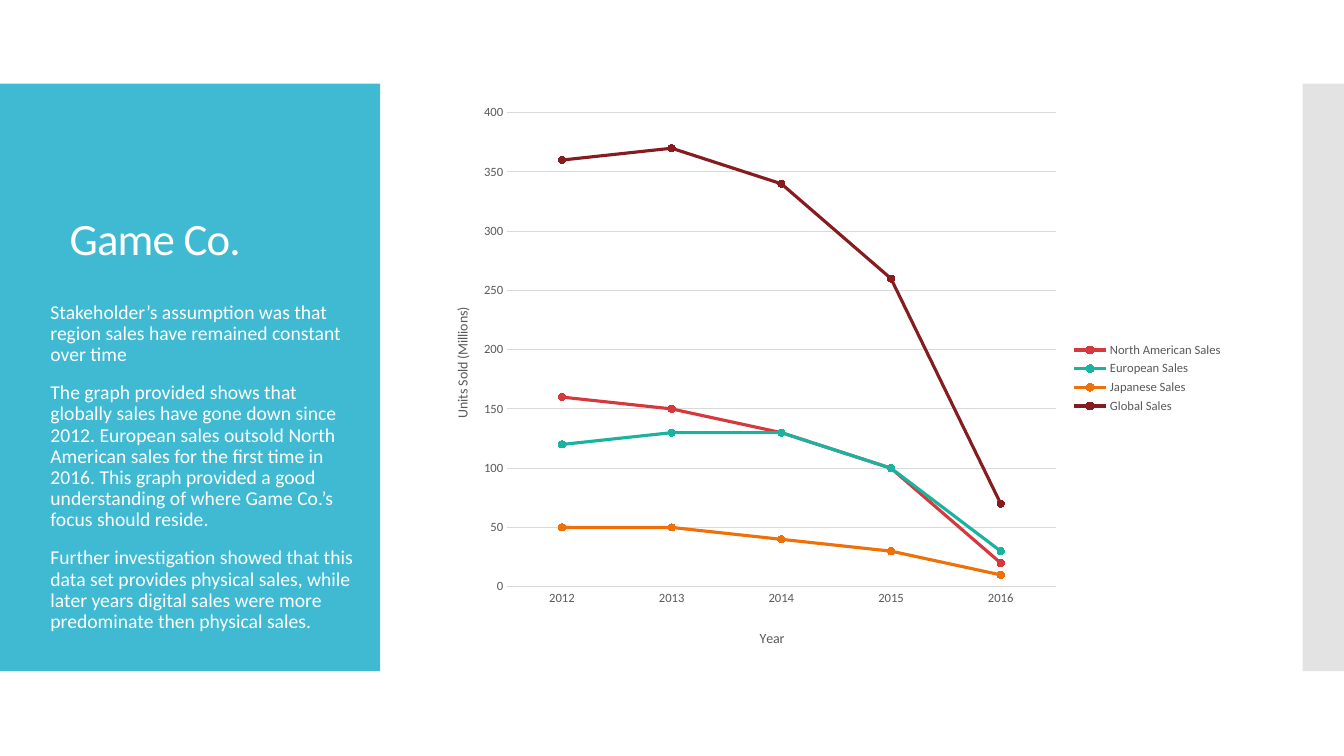
from lxml import etree
from pptx import Presentation
from pptx import util as u
from pptx.chart.data import CategoryChartData
from pptx.dml.color import RGBColor
from pptx.enum import chart as charts, shapes, text
from pptx.oxml import ns

COLORS = {
    "panel": "40BAD2", "strip": "C8C8C8", "white": "FFFFFF",
    "label": "595959", "grid": "D9D9D9",
}
SERIES = [
    ("North American Sales", (160, 150, 130, 100, 20), "D5393D"),
    ("European Sales", (120, 130, 130, 100, 30), "1AB39F"),
    ("Japanese Sales", (50, 50, 40, 30, 10), "EE7008"),
    ("Global Sales", (360, 370, 340, 260, 70), "861C1F"),
]
FINDINGS = [
    "Stakeholder’s assumption was that region sales have remained constant over time",
    "The graph provided shows that globally sales have gone down since 2012. "
    "European sales outsold North American sales for the first time in 2016. "
    "This graph provided a good understanding of where Game Co.’s focus should reside.",
    "Further investigation showed that this data set provides physical sales, "
    "while later years digital sales were more predominate then physical sales.",
]


def color(name):
    return RGBColor.from_string(COLORS.get(name, name))


def add_xml(parent, tag, **attributes):
    return etree.SubElement(parent, ns.qn(tag), attributes)


def set_layout(element, index, inner=False, **fractions):
    """Fix a chart part's place as fractions of the chart's size."""
    for old in element.findall(ns.qn("c:layout")):
        element.remove(old)
    layout = etree.Element(ns.qn("c:layout"))
    manual = add_xml(layout, "c:manualLayout")
    if inner:
        add_xml(manual, "c:layoutTarget", val="inner")
    for mode in ("xMode", "yMode"):
        add_xml(manual, "c:" + mode, val="edge")
    for key, value in fractions.items():
        add_xml(manual, "c:" + key, val=str(value))
    element.insert(index, layout)


class SlideBuilder:
    font = "Calibri"

    def __init__(self, slide):
        self.slide = slide

    def style(self, font, size, name):
        font.name, font.size, font.bold = self.font, u.Pt(size), False
        font.color.rgb = color(name)

    def place(self, shape, box):
        shape.left, shape.top, shape.width, shape.height = map(u.Inches, box)

    def panel(self, box, name, opacity=None):
        shape = self.slide.shapes.add_shape(
            shapes.MSO_SHAPE.RECTANGLE, *map(u.Inches, box))
        shape.shadow.inherit = False
        shape.fill.solid()
        shape.fill.fore_color.rgb = color(name)
        shape.line.fill.background()
        if opacity:
            fill = shape._element.spPr.find(ns.qn("a:solidFill"))
            add_xml(fill[0], "a:alpha", val=str(opacity * 1000))
        # Panels lie behind the placeholders
        self.slide.shapes._spTree.insert(2, shape._element)

    def fill_text(self, shape, box, lines, size, anchor, before=0):
        self.place(shape, box)
        frame = shape.text_frame
        frame.word_wrap = True
        frame.auto_size = text.MSO_AUTO_SIZE.NONE
        frame.vertical_anchor = anchor
        for index, line in enumerate(lines):
            paragraph = frame.add_paragraph() if index else frame.paragraphs[0]
            paragraph.alignment = text.PP_ALIGN.LEFT
            paragraph.line_spacing = 0.9
            paragraph.space_before = u.Pt(before)
            run = paragraph.add_run()
            run.text = line
            self.style(run.font, size, "white")
        return frame.paragraphs

    def title(self, box, line):
        paragraph = self.fill_text(self.slide.shapes.title, box, [line], 32,
                                   text.MSO_ANCHOR.BOTTOM)[0]
        paragraph.runs[0].font._element.set("spc", "-60")

    def bullets(self, box, lines):
        body = self.slide.placeholders[1]
        for paragraph in self.fill_text(body, box, lines, 14,
                                        text.MSO_ANCHOR.TOP, before=12):
            properties = paragraph._p.get_or_add_pPr()
            indent = u.Inches(0.31)
            properties.set("marL", str(indent))
            properties.set("indent", str(-indent))
            bullet_color = add_xml(properties, "a:buClr")
            add_xml(bullet_color, "a:srgbClr", val=COLORS["panel"])
            add_xml(properties, "a:buFont", typeface="Arial")
            add_xml(properties, "a:buChar", char="•")

    def axis(self, axis, title, x, y):
        axis.major_tick_mark = axis.minor_tick_mark = charts.XL_TICK_MARK.NONE
        self.style(axis.tick_labels.font, 9, "label")
        run = axis.axis_title.text_frame.paragraphs[0].add_run()
        run.text = title
        self.style(run.font, 10, "label")
        set_layout(axis.axis_title._element, 1, x=x, y=y)

    def outline(self, line, name, width):
        line.color.rgb = color(name)
        line.width = u.Pt(width)

    def line_chart(self, box, categories, series):
        data = CategoryChartData()
        data.categories = categories
        for name, values, _ in series:
            data.add_series(name, values)
        chart = self.slide.shapes.add_chart(
            charts.XL_CHART_TYPE.LINE_MARKERS, *map(u.Inches, box), data).chart
        chart.has_title = False
        chart.font.name, chart.font.size = self.font, u.Pt(10)

        # Axes and grid
        years, units = chart.category_axis, chart.value_axis
        self.axis(years, "Year", 0.41, 0.94)
        self.axis(units, "Units Sold (Millions)", 0.03, 0.37)
        self.outline(years.format.line, "grid", 0.75)
        units.format.line.fill.background()
        units.minimum_scale, units.maximum_scale, units.major_unit = 0, 400, 50
        units.has_major_gridlines = True
        self.outline(units.major_gridlines.format.line, "grid", 0.75)
        set_layout(chart._chartSpace.chart.plotArea, 0, inner=True,
                   x=0.1, y=0.03, w=0.68, h=0.84)

        # Legend
        chart.has_legend = True
        chart.legend.position = charts.XL_LEGEND_POSITION.RIGHT
        chart.legend.include_in_layout = False
        self.style(chart.legend.font, 9, "label")

        # Lines and markers
        plot = chart.plots[0]
        plot.vary_by_categories = False
        for line, (_, _, shade) in zip(plot.series, series):
            line.smooth = False
            self.outline(line.format.line, shade, 2.25)
            marker = line.marker
            marker.style, marker.size = charts.XL_MARKER_STYLE.CIRCLE, 5
            marker.format.fill.solid()
            marker.format.fill.fore_color.rgb = color(shade)
            self.outline(marker.format.line, shade, 0.75)


def main():
    presentation = Presentation()
    presentation.slide_width = u.Inches(13.33)
    presentation.slide_height = u.Inches(7.5)
    slide = presentation.slides.add_slide(presentation.slide_layouts[1])
    builder = SlideBuilder(slide)

    # Side panels
    builder.panel((0, 0.83, 3.77, 5.83), "panel")
    builder.panel((12.92, 0.83, 0.41, 5.83), "strip", opacity=50)

    # Text and chart
    builder.title((0.59, 0.08, 3.1, 2.6), "Game Co.")
    builder.line_chart((4.23, 0.95, 8, 5.6),
                       [str(year) for year in range(2012, 2017)], SERIES)
    builder.bullets((0.09, 2.95, 3.6, 3.41), FINDINGS)
    presentation.save("out.pptx")


if __name__ == "__main__":
    main()
